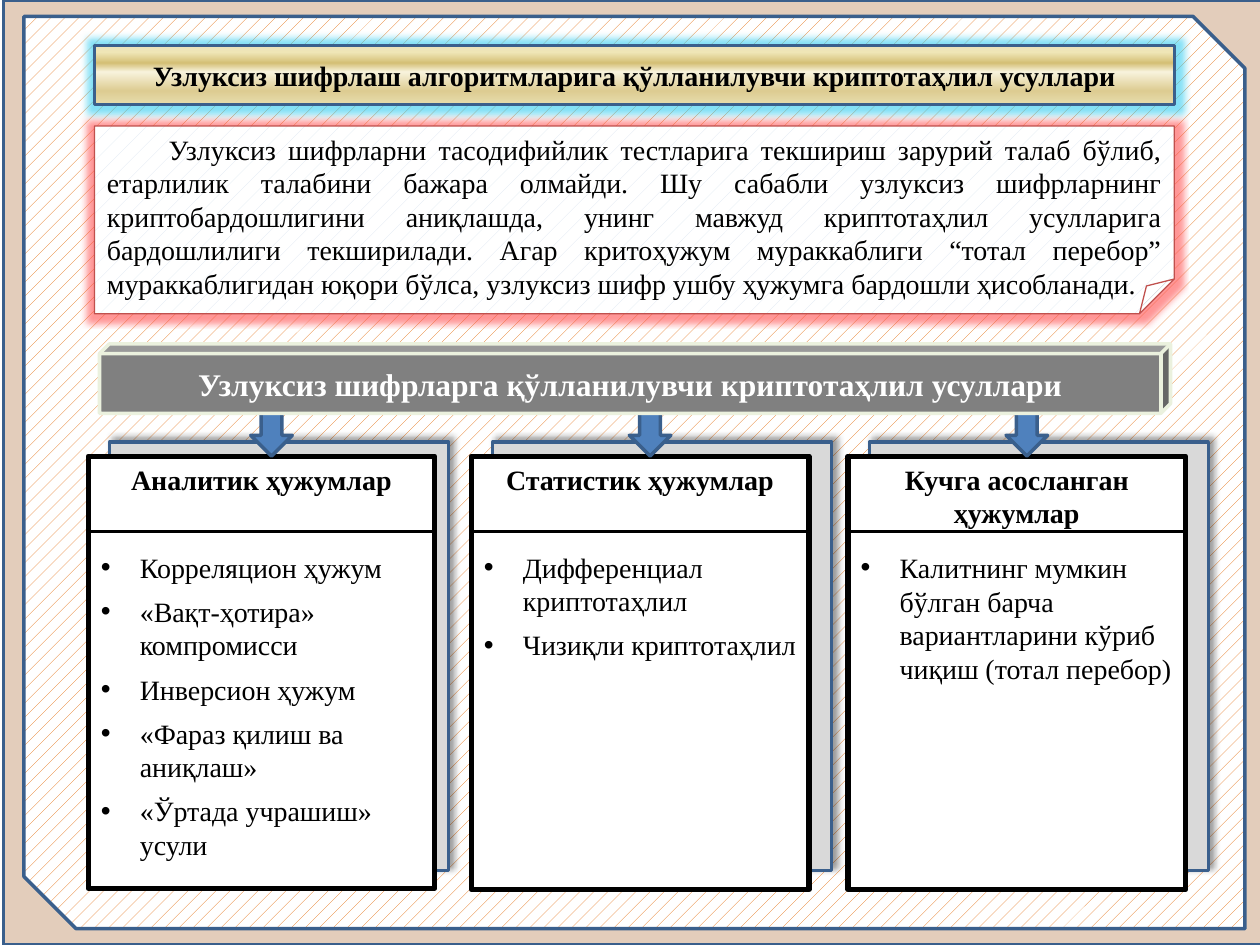
from dataclasses import dataclass

from lxml.etree import SubElement
from pptx import Presentation
from pptx.dml.color import RGBColor
from pptx.enum.dml import MSO_PATTERN
from pptx.enum.shapes import MSO_CONNECTOR, MSO_SHAPE
from pptx.enum.text import MSO_ANCHOR, MSO_AUTO_SIZE, PP_ALIGN
from pptx.oxml.ns import qn
from pptx.util import Inches, Pt


@dataclass(frozen=True)
class Theme:
    """Colours, font and type sizes of the slide."""
    font: str = "Times New Roman"
    body: int = 16
    banner: int = 18
    black: str = "000000"
    white: str = "FFFFFF"
    outline: str = "3A5F8C"
    frame: str = "984807"
    hatch: str = "E46C0A"
    panel: str = "D9D9D9"
    arrow: str = "4F81BD"
    grey: str = "808080"
    pale: str = "EBF1DE"
    note_line: str = "C0504D"
    note_hatch: str = "DCE6F2"
    cyan_glow: str = "33CCF0"
    red_glow: str = "FF5050"
    gold: tuple = ((0, "EBE3BD"), (12, "EFE6B6"), (30, "D4BF75"),
                   (45, "F8F3DD"), (77, "DDCC92"), (100, "E6DCAC"))


THEME = Theme()
TITLE = "Узлуксиз шифрлаш алгоритмларига қўлланилувчи криптотаҳлил усуллари"
NOTE = ("Узлуксиз шифрларни тасодифийлик тестларига текшириш зарурий талаб бўлиб, "
        "етарлилик талабини бажара олмайди. Шу сабабли узлуксиз шифрларнинг "
        "криптобардошлигини аниқлашда, унинг мавжуд криптотаҳлил усулларига "
        "бардошлилиги текширилади. Агар критоҳужум мураккаблиги “тотал перебор” "
        "мураккаблигидан юқори бўлса, узлуксиз шифр ушбу ҳужумга бардошли ҳисобланади.")
BANNER = "Узлуксиз шифрларга қўлланилувчи криптотаҳлил усуллари"
ATTACKS = [
    ((0.7, 3.62, 2.75, 3.43), "Аналитик ҳужумлар", 31,
     ["Корреляцион ҳужум", "«Вақт-ҳотира» компромисси", "Инверсион ҳужум",
      "«Фараз қилиш ва аниқлаш»", "«Ўртада учрашиш» усули"]),
    ((3.74, 3.62, 2.68, 3.44), "Статистик ҳужумлар", 31,
     ["Дифференциал криптотаҳлил", "Чизиқли криптотаҳлил"]),
    ((6.73, 3.62, 2.68, 3.44), "Кучга асосланган ҳужумлар", 12,
     ["Калитнинг мумкин бўлган барча вариантларини кўриб чиқиш (тотал перебор)"]),
]


def rgb(value):
    """Turn a hex string into a colour."""
    return RGBColor.from_string(value)


def outline(shape, color, width):
    """Give a shape or connector a solid line."""
    shape.line.color.rgb = rgb(color)
    shape.line.width = Pt(width)


def set_guides(shape, guides):
    """Set the named adjustment guides of a preset shape."""
    geometry = shape._element.spPr.find(qn("a:prstGeom"))
    for old in geometry.findall(qn("a:avLst")):
        geometry.remove(old)
    values = SubElement(geometry, qn("a:avLst"))
    for name, value in guides.items():
        SubElement(values, qn("a:gd"), name=name, fmla=f"val {round(value * 100000)}")


def add_box(slide, kind, box, fill=None, line=THEME.outline, width=2, **guides):
    """Add a preset shape without a shadow."""
    shape = slide.shapes.add_shape(kind, *map(Inches, box))
    shape.shadow.inherit = False
    if guides:
        set_guides(shape, guides)
    if fill:
        shape.fill.solid()
        shape.fill.fore_color.rgb = rgb(fill)
    outline(shape, line, width)
    return shape


def fill_pattern(shape, pattern, color):
    """Fill a shape with a pattern on white."""
    shape.fill.patterned()
    shape.fill.pattern = pattern
    shape.fill.fore_color.rgb = rgb(color)
    shape.fill.back_color.rgb = rgb(THEME.white)


def fill_gradient(shape, stops):
    """Fill a shape with a top-down gradient."""
    shape.fill.gradient()
    shape.fill.gradient_angle = 270
    stop_list = shape._element.spPr.find(qn("a:gradFill")).find(qn("a:gsLst"))
    for stop in list(stop_list):
        stop_list.remove(stop)
    for position, color in stops:
        stop = SubElement(stop_list, qn("a:gs"), pos=str(position * 1000))
        SubElement(stop, qn("a:srgbClr"), val=color)


def add_effect(shape, tag, color, opacity, **settings):
    """Add a glow or a shadow to a shape."""
    shape.shadow.inherit = False
    effects = shape._element.spPr.find(qn("a:effectLst"))
    effect = SubElement(effects, qn(tag), **{key: str(value) for key, value in settings.items()})
    tint = SubElement(effect, qn("a:srgbClr"), val=color)
    SubElement(tint, qn("a:alpha"), val=str(opacity * 1000))


def place(placeholder, box):
    """Move a placeholder to the front and into a box."""
    tree = placeholder._element.getparent()
    tree.append(placeholder._element)
    placeholder.left, placeholder.top, placeholder.width, placeholder.height = map(Inches, box)


def prepare_frame(shape, anchor):
    """Return the wrapping text frame of a shape."""
    frame = shape.text_frame
    frame.word_wrap = True
    frame.auto_size = MSO_AUTO_SIZE.NONE
    frame.vertical_anchor = anchor
    return frame


def write(paragraph, text, align, size=THEME.body, color=THEME.black, bold=False,
          after=0, margin=0, indent=0, bullet=None):
    """Write one formatted paragraph."""
    paragraph.text = text
    paragraph.alignment = align
    paragraph.space_before = Pt(0)
    paragraph.space_after = Pt(after)
    properties = paragraph._p.get_or_add_pPr()
    properties.set("marL", str(Inches(margin)))
    properties.set("indent", str(Inches(indent)))
    if bullet:
        SubElement(properties, qn("a:buChar"), char=bullet)
    else:
        SubElement(properties, qn("a:buNone"))
    for run in paragraph.runs:
        run.font.name = THEME.font
        run.font.size = Pt(size)
        run.font.bold = bold
        run.font.color.rgb = rgb(color)


def build_background(slide, box):
    """Draw the tinted frame and the snipped hatched sheet."""
    left, top, width, height = box
    frame = add_box(slide, MSO_SHAPE.RECTANGLE, box, THEME.frame)
    tint = frame._element.spPr.find(qn("a:solidFill"))[0]
    SubElement(tint, qn("a:alpha"), val="27000")
    sheet = add_box(slide, MSO_SHAPE.SNIP_2_DIAG_RECTANGLE,
                    (left + 0.16, top + 0.13, width - 0.31, height - 0.26), adj1=0, adj2=0.057)
    fill_pattern(sheet, MSO_PATTERN.PERCENT_10, THEME.hatch)


def build_title(slide, box):
    """Set the golden title bar."""
    title = slide.shapes.title
    place(title, box)
    fill_gradient(title, THEME.gold)
    outline(title, THEME.outline, 2)
    add_effect(title, "a:glow", THEME.cyan_glow, 60, rad=Pt(8))
    frame = prepare_frame(title, MSO_ANCHOR.MIDDLE)
    write(frame.paragraphs[0], TITLE, PP_ALIGN.CENTER, bold=True)


def build_note(slide, box):
    """Draw the folded note with the introduction."""
    note = add_box(slide, MSO_SHAPE.FOLDED_CORNER, box, line=THEME.note_line,
                   width=0.75, adj=0.185)
    fill_pattern(note, MSO_PATTERN.PERCENT_5, THEME.note_hatch)
    add_effect(note, "a:glow", THEME.red_glow, 60, rad=Pt(8))
    frame = prepare_frame(note, MSO_ANCHOR.TOP)
    write(frame.paragraphs[0], NOTE, PP_ALIGN.JUSTIFY, indent=0.49)


def build_banner(slide, box):
    """Draw the grey block above the columns."""
    banner = add_box(slide, MSO_SHAPE.CUBE, box, THEME.grey, THEME.pale, adj=0.139)
    frame = prepare_frame(banner, MSO_ANCHOR.MIDDLE)
    write(frame.paragraphs[0], BANNER, PP_ALIGN.CENTER, THEME.banner, THEME.white, True)


def build_column(slide, placeholder, box, heading, gap, items):
    """Build one attack card with its back panel, divider and arrow."""
    left, top, width, height = box
    panel = add_box(slide, MSO_SHAPE.RECTANGLE, (left + 0.17, top - 0.11, 2.69, 3.4), THEME.panel)
    add_effect(panel, "a:outerShdw", THEME.black, 40, blurRad=Pt(4), dist=Pt(3), dir=315 * 60000)
    place(placeholder, box)
    placeholder.fill.solid()
    placeholder.fill.fore_color.rgb = rgb(THEME.white)
    outline(placeholder, THEME.black, 3)
    frame = prepare_frame(placeholder, MSO_ANCHOR.TOP)
    write(frame.paragraphs[0], heading, PP_ALIGN.CENTER, bold=True, after=gap)
    for item in items:
        write(frame.add_paragraph(), item, PP_ALIGN.LEFT, after=6,
              margin=0.31, indent=-0.31, bullet="•")
    ends = (left, top + 0.6, left + width, top + 0.6)
    divider = slide.shapes.add_connector(MSO_CONNECTOR.STRAIGHT, *map(Inches, ends))
    outline(divider, THEME.black, 1.5)
    SubElement(divider._element.spPr, qn("a:effectLst"))
    arrow_box = (left + width / 2 - 0.085, top - 0.34, 0.33, 0.34)
    add_box(slide, MSO_SHAPE.DOWN_ARROW, arrow_box, THEME.arrow)


def main():
    """Build and save the slide."""
    presentation = Presentation()
    presentation.slide_width, presentation.slide_height = Inches(10), Inches(7.5)
    slide = presentation.slides.add_slide(presentation.slide_layouts.get_by_name("Comparison"))
    *bodies, spare = list(slide.placeholders)[1:]
    spare._element.getparent().remove(spare._element)
    build_background(slide, (0.03, 0, 10, 7.5))
    build_title(slide, (0.75, 0.36, 8.57, 0.47))
    for body, attack in zip(bodies, ATTACKS):
        build_column(slide, body, *attack)
    build_banner(slide, (0.79, 2.73, 8.5, 0.55))
    build_note(slide, (0.75, 1, 8.57, 1.49))
    presentation.save("out.pptx")


if __name__ == "__main__":
    main()
